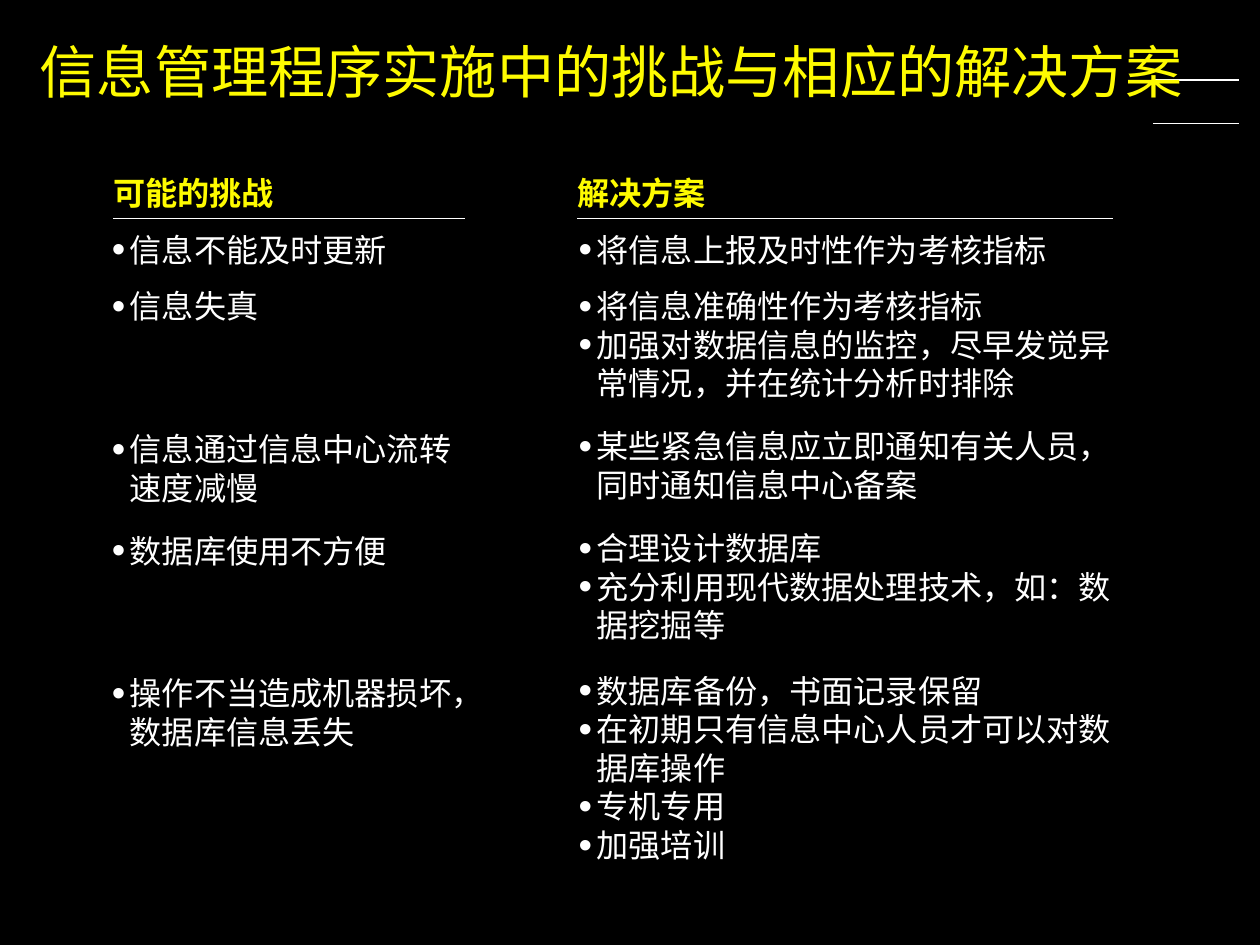
"""Build the slide on challenges and solutions in an information programme."""
import math

from lxml import etree
from pptx import Presentation
from pptx import util as u
from pptx.dml.color import RGBColor
from pptx.enum import shapes, text
from pptx.oxml.ns import qn

YELLOW, WHITE, BLACK = "FEFB00", "FFFFFF", "000000"
BODY_FONT, TITLE_FONT = "Arial", "Noto Sans CJK SC"

TITLE = "信息管理程序实施中的挑战与相应的解决方案"
HEADINGS = [
    ("可能的挑战", 0.88, 2.81, 2.74),
    ("解决方案", 4.49, 4.28, 4.17),
]
ROWS = [
    (1.79, 1.79, 2.81, ["信息不能及时更新"], ["将信息上报及时性作为考核指标"]),
    (2.23, 2.23, 2.81, ["信息失真"],
     ["将信息准确性作为考核指标",
      "加强对数据信息的监控，尽早发觉异常情况，并在统计分析时排除"]),
    (3.34, 3.32, 2.81, ["信息通过信息中心流转速度减慢"],
     ["某些紧急信息应立即通知有关人员，同时通知信息中心备案"]),
    (4.13, 4.11, 2.81, ["数据库使用不方便"],
     ["合理设计数据库", "充分利用现代数据处理技术，如：数据挖掘等"]),
    (5.24, 5.22, 2.91, ["操作不当造成机器损坏，数据库信息丢失"],
     ["数据库备份，书面记录保留", "在初期只有信息中心人员才可以对数据库操作",
      "专机专用", "加强培训"]),
]
CHALLENGE_LEFT, SOLUTION_LEFT, SOLUTION_WIDTH = 0.86, 4.49, 4.28
CORNER_LINES = [0.96, 0.62]
HEADING_RULE_TOP = 1.7
LINE_HEIGHT, CHARACTER, INDENT = 0.3, 0.25, 0.15


def color(value):
    return RGBColor.from_string(value)


def add_rule(slide, left, top, width):
    rule = slide.shapes.add_connector(
        shapes.MSO_CONNECTOR.STRAIGHT, u.Inches(left), u.Inches(top),
        u.Inches(left + width), u.Inches(top))
    rule.line.color.rgb = color(WHITE)
    rule.line.width = u.Pt(1)
    etree.SubElement(rule._element.spPr, qn("a:effectLst"))


def add_bullet(paragraph):
    paragraph.level = 1
    properties = paragraph._p.get_or_add_pPr()
    properties.set("marL", str(u.Inches(INDENT)))
    properties.set("indent", str(u.Inches(-0.14)))
    bullet_color = etree.SubElement(properties, qn("a:buClr"))
    etree.SubElement(bullet_color, qn("a:srgbClr"), val=WHITE)
    etree.SubElement(properties, qn("a:buSzPct"), val="120000")
    etree.SubElement(properties, qn("a:buFont"), typeface=BODY_FONT)
    etree.SubElement(properties, qn("a:buChar"), char="•")


def add_text(slide, entries, left, top, width, height, size=18, ink=WHITE,
             face=BODY_FONT, bold=False, bulleted=False):
    box = slide.shapes.add_textbox(*map(u.Inches, (left, top, width, height)))
    frame = box.text_frame
    frame.word_wrap = True
    frame.auto_size = text.MSO_AUTO_SIZE.SHAPE_TO_FIT_TEXT
    frame.margin_left = frame.margin_right = 0
    frame.margin_top = frame.margin_bottom = 0
    for index, entry in enumerate(entries):
        paragraph = frame.add_paragraph() if index else frame.paragraphs[0]
        if bulleted:
            add_bullet(paragraph)
        paragraph.line_spacing = u.Pt(size * 1.2)
        run = paragraph.add_run()
        run.text = entry
        run.font.size = u.Pt(size)
        run.font.bold = bold
        run.font.color.rgb = color(ink)
        run.font.name = face
        etree.SubElement(run._r.get_or_add_rPr(), qn("a:ea"), typeface=face)


def add_bullets(slide, entries, left, top, width):
    per_line = int((width - INDENT) / CHARACTER)
    lines = sum(math.ceil(len(entry) / per_line) for entry in entries)
    add_text(slide, entries, left, top, width, lines * LINE_HEIGHT, bulleted=True)


def main():
    deck = Presentation()
    deck.slide_width, deck.slide_height = u.Inches(9.8), u.Inches(7.35)
    slide = deck.slides.add_slide(deck.slide_layouts[6])
    slide.background.fill.solid()
    slide.background.fill.fore_color.rgb = color(BLACK)

    for top in CORNER_LINES:
        add_rule(slide, 8.97, top, 0.67)
    add_text(slide, [TITLE], 0.31, 0.28, 9.26, 0.53, 32, YELLOW, TITLE_FONT)

    for heading, left, width, rule_width in HEADINGS:
        add_text(slide, [heading], left, 1.35, width, LINE_HEIGHT,
                 ink=YELLOW, bold=True)
        add_rule(slide, left, HEADING_RULE_TOP, rule_width)

    for challenge_top, solution_top, challenge_width, challenges, solutions in ROWS:
        add_bullets(slide, challenges, CHALLENGE_LEFT, challenge_top, challenge_width)
        add_bullets(slide, solutions, SOLUTION_LEFT, solution_top, SOLUTION_WIDTH)

    deck.save("out.pptx")


if __name__ == "__main__":
    main()
